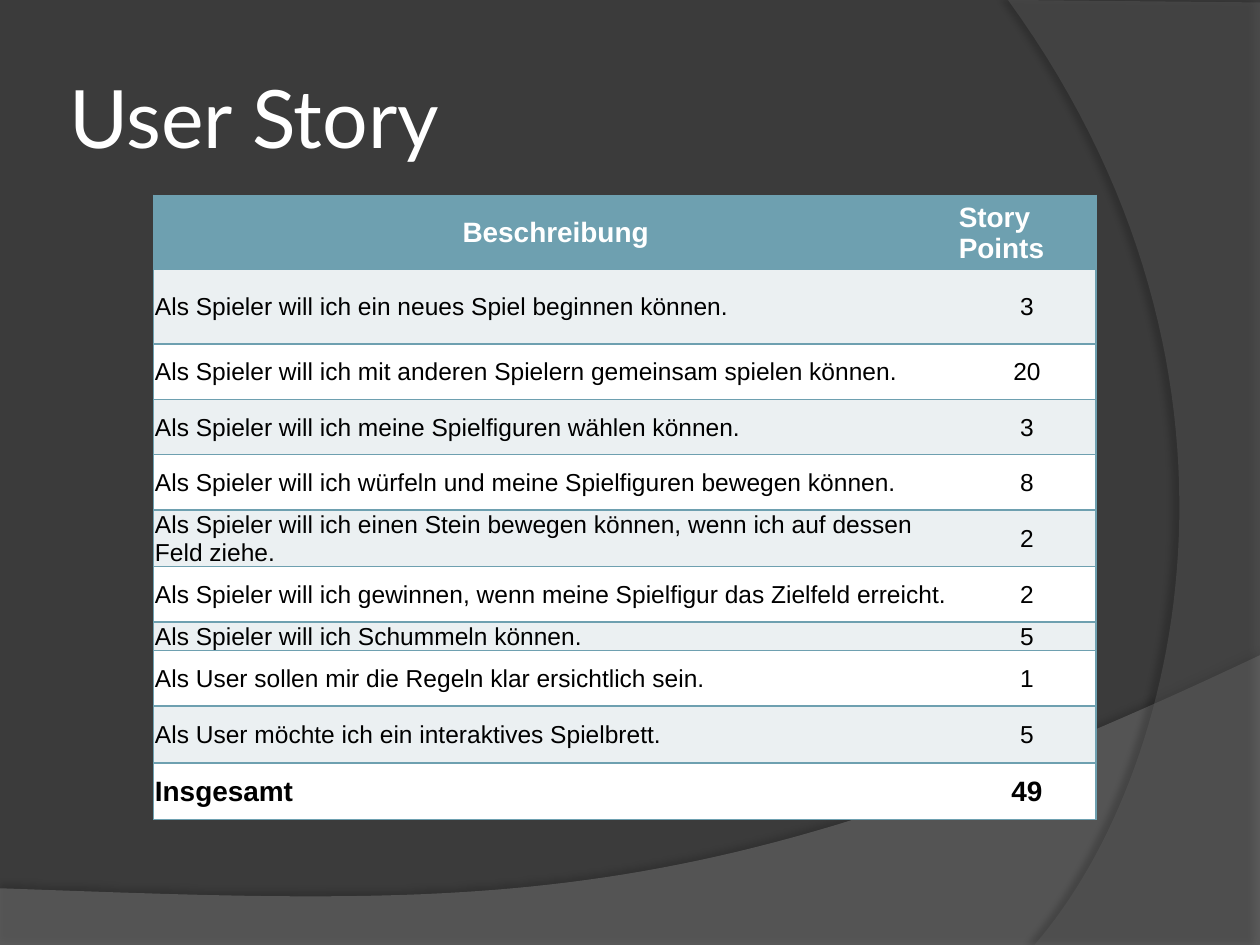
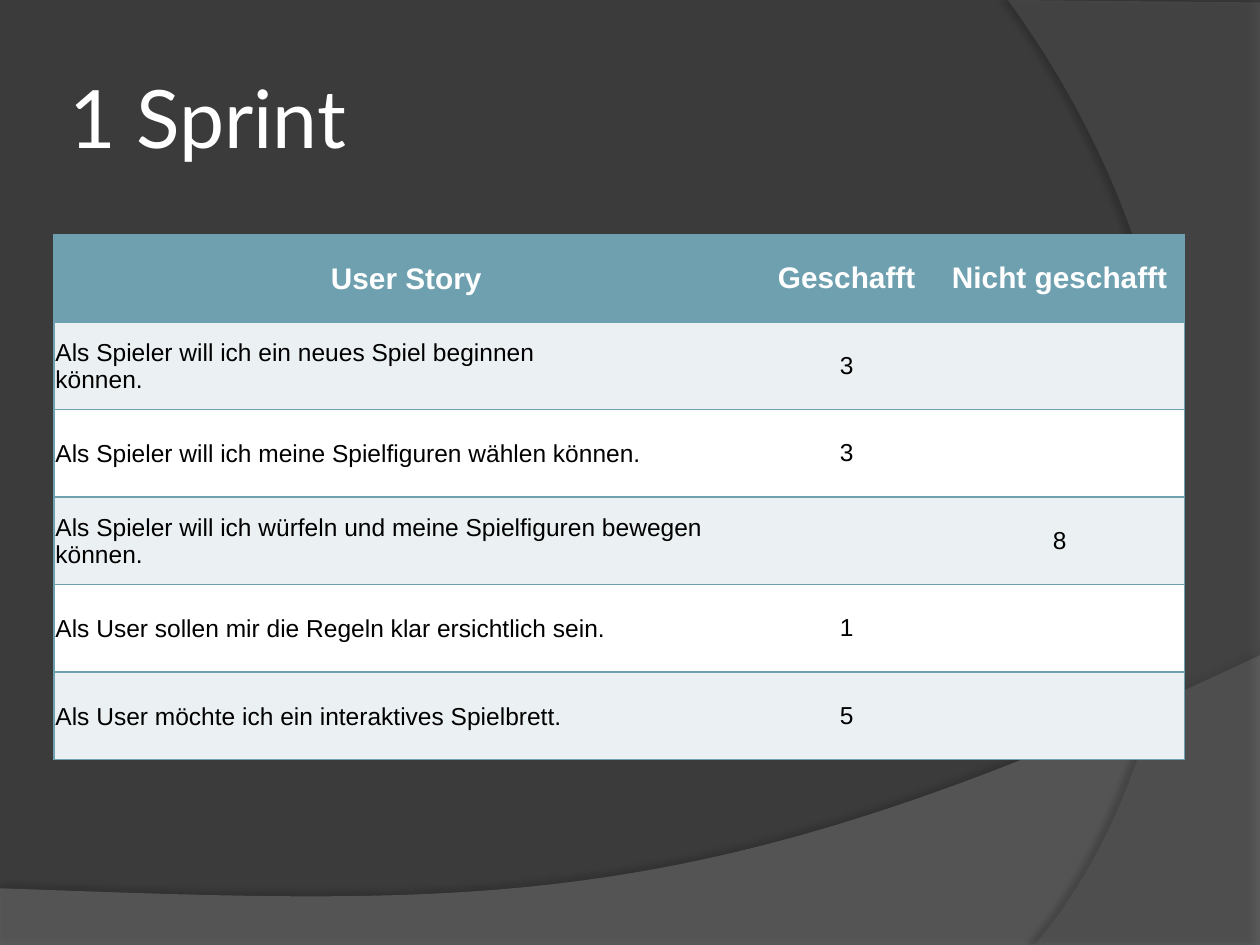
from lxml import etree
from pptx import Presentation
from pptx.dml.color import RGBColor
from pptx.enum.text import MSO_ANCHOR, PP_ALIGN
from pptx.oxml import parse_xml
from pptx.oxml.ns import qn
from pptx.util import Inches, Pt

LEFT, CENTER = PP_ALIGN.LEFT, PP_ALIGN.CENTER
MIDDLE = MSO_ANCHOR.MIDDLE
DRAWING = "http://schemas.openxmlformats.org/drawingml/2006/main"

THEME = {
    "background": "3B3B3B",
    "accent": "6EA0B0",
    "stripes": ("FFFFFF", "EBF0F2"),
    "title": {"name": "Lato", "size": Pt(46), "bold": False, "color": "FFFFFF"},
    "body": {"name": "Arial", "size": Pt(14), "bold": False, "color": "000000"},
    "total": {"name": "Arial", "size": Pt(16), "bold": True, "color": "000000"},
    "header": {"name": "Arial", "bold": True, "color": "FFFFFF"},
}
TIGHT = {"margin_left": Inches(0.01), "margin_right": Inches(0.01),
         "margin_top": Inches(0.01), "margin_bottom": 0}

BANDS = [
    {"corners": [(0, 7.05), (0, 7.51), (10, 7.51), (10, 5.2)],
     "curve": [(10, 5.2), (5.59, 7.29), (3.91, 7.19), (0, 7.05)],
     "color": "7F7F7F", "opacity": 45,
     "shadow": {"opacity": 35, "distance": 3.5, "angle": 270}},
    {"corners": [(10, 0.02), (10, 7.5), (8.21, 7.5)],
     "curve": [(8.21, 7.5), (9.35, 6.19), (10.18, 3), (8, 0)],
     "color": "5E5E5E", "opacity": 40,
     "shadow": {"opacity": 45, "distance": 4, "angle": 180}},
]
CURVE_STEPS = 60

PAGES = [
    {"title": "User Story", "at": (1.22, 1.55), "columns": [6.38, 1.1],
     "rows": [0.59, 0.59] + [0.44] * 5 + [0.22, 0.44, 0.45, 0.45],
     "header_size": Pt(16), "header_align": [CENTER, LEFT],
     "tight_columns": 2, "has_total": True,
     "cells": [
         ("Beschreibung", "Story Points"),
         ("Als Spieler will ich ein neues Spiel beginnen können.", "3"),
         ("Als Spieler will ich mit anderen Spielern gemeinsam spielen können.", "20"),
         ("Als Spieler will ich meine Spielfiguren wählen können.", "3"),
         ("Als Spieler will ich würfeln und meine Spielfiguren bewegen können.", "8"),
         ("Als Spieler will ich einen Stein bewegen können, wenn ich auf dessen Feld ziehe.", "2"),
         ("Als Spieler will ich gewinnen, wenn meine Spielfigur das Zielfeld erreicht.", "2"),
         ("Als Spieler will ich Schummeln können.", "5"),
         ("Als User sollen mir die Regeln klar ersichtlich sein.", "1"),
         ("Als User möchte ich ein interaktives Spielbrett.", "5"),
         ("Insgesamt", "49"),
     ]},
    {"title": "1 Sprint", "at": (0.43, 1.86), "columns": [5.59, 1.4, 1.98],
     "rows": [0.695] * 6,
     "header_size": Pt(17), "header_align": [CENTER] * 3,
     "tight_columns": 1, "has_total": False,
     "cells": [
         ("User Story", "Geschafft", "Nicht geschafft"),
         ("Als Spieler will ich ein neues Spiel beginnen \vkönnen.", "3", ""),
         ("Als Spieler will ich meine Spielfiguren wählen können.", "3", ""),
         ("Als Spieler will ich würfeln und meine Spielfiguren bewegen können.", "", "8"),
         ("Als User sollen mir die Regeln klar ersichtlich sein.", "1", ""),
         ("Als User möchte ich ein interaktives Spielbrett.", "5", ""),
     ]},
]


def write_text(frame, text, text_format, align):
    frame.text = text
    para = frame.paragraphs[0]
    para.alignment = align
    for span in para.runs:
        for name, value in text_format.items():
            if name == "color":
                span.font.color.rgb = RGBColor.from_string(value)
            else:
                setattr(span.font, name, value)


def set_borders(cell, visible_sides):
    properties = cell._tc.get_or_add_tcPr()
    for position, side in enumerate("LRTB"):
        paint = "<a:noFill/>"
        if side in visible_sides:
            paint = f'<a:solidFill><a:srgbClr val="{THEME["accent"]}"/></a:solidFill>'
        properties.insert(position, parse_xml(
            f'<a:ln{side} xmlns:a="{DRAWING}" w="{Pt(1)}">{paint}</a:ln{side}>'))


deck = Presentation()
deck.slide_width, deck.slide_height = Inches(10), Inches(7.5)
layout = deck.slide_layouts[5]
layout.background.fill.solid()
layout.background.fill.fore_color.rgb = RGBColor.from_string(THEME["background"])

title_format = {"left": Inches(0.5), "top": Inches(0.3),
                "width": Inches(8.17), "height": Inches(1.25)}
for name, value in title_format.items():
    setattr(layout.placeholders[0], name, value)

pages = [deck.slides.add_slide(layout) for content in PAGES]

for position, band in enumerate(BANDS):
    start, first, second, end = band["curve"]
    outline = list(band["corners"])
    for step in range(1, CURVE_STEPS + 1):
        t = step / CURVE_STEPS
        weights = ((1 - t) ** 3, 3 * t * (1 - t) ** 2, 3 * t ** 2 * (1 - t), t ** 3)
        outline.append(tuple(sum(weight * point[axis] for weight, point
                                 in zip(weights, band["curve"])) for axis in (0, 1)))
    outline = [(Inches(x), Inches(y)) for x, y in outline]
    builder = pages[0].shapes.build_freeform(*outline[0])
    builder.add_line_segments(outline[1:], close=True)
    shape = builder.convert_to_shape()
    shape.name = f"Band {position + 1}"
    shape.fill.solid()
    shape.fill.fore_color.rgb = RGBColor.from_string(band["color"])
    shape.line.fill.background()
    shape.shadow.inherit = False
    color = shape.element.spPr.find(qn("a:solidFill")).find(qn("a:srgbClr"))
    etree.SubElement(color, qn("a:alpha"), val=str(band["opacity"] * 1000))
    shadow = band["shadow"]
    shape.element.spPr.find(qn("a:effectLst")).append(parse_xml(
        f'<a:outerShdw xmlns:a="{DRAWING}" blurRad="{Pt(4)}" '
        f'dist="{Pt(shadow["distance"])}" dir="{shadow["angle"] * 60000}" '
        f'algn="ctr" rotWithShape="0"><a:srgbClr val="000000">'
        f'<a:alpha val="{shadow["opacity"] * 1000}"/></a:srgbClr></a:outerShdw>'))
    layout.shapes.element.insert(2 + position, shape.element)

for page, content in zip(pages, PAGES):
    frame = page.shapes.title.text_frame
    write_text(frame, content["title"], THEME["title"], LEFT)
    frame.vertical_anchor = MIDDLE
    for side in ("left", "right", "top", "bottom"):
        setattr(frame, f"margin_{side}", Inches(0.05))

    columns, rows = content["columns"], content["rows"]
    left, top = content["at"]
    table = page.shapes.add_table(
        len(rows), len(columns), Inches(left), Inches(top),
        Inches(sum(columns)), Inches(sum(rows))).table
    for column, width in zip(table.columns, columns):
        column.width = Inches(width)
    for row, height in zip(table.rows, rows):
        row.height = Inches(height)

    header_format = {**THEME["header"], "size": content["header_size"]}
    for row_index, texts in enumerate(content["cells"]):
        is_total = content["has_total"] and row_index == len(rows) - 1
        for column_index, text in enumerate(texts):
            cell = table.cell(row_index, column_index)
            align = CENTER if column_index else LEFT
            text_format = THEME["total"] if is_total else THEME["body"]
            fill = THEME["stripes"][row_index % 2]
            if row_index == 0:
                align = content["header_align"][column_index]
                text_format, fill = header_format, THEME["accent"]
            write_text(cell.text_frame, text, text_format, align)
            cell.vertical_anchor = MIDDLE
            if column_index < content["tight_columns"]:
                for name, value in TIGHT.items():
                    setattr(cell, name, value)
            cell.fill.solid()
            cell.fill.fore_color.rgb = RGBColor.from_string(fill)
            sides = "TB"
            if column_index == 0:
                sides += "L"
            if column_index == len(columns) - 1:
                sides += "R"
            set_borders(cell, sides)

deck.save("out.pptx")
